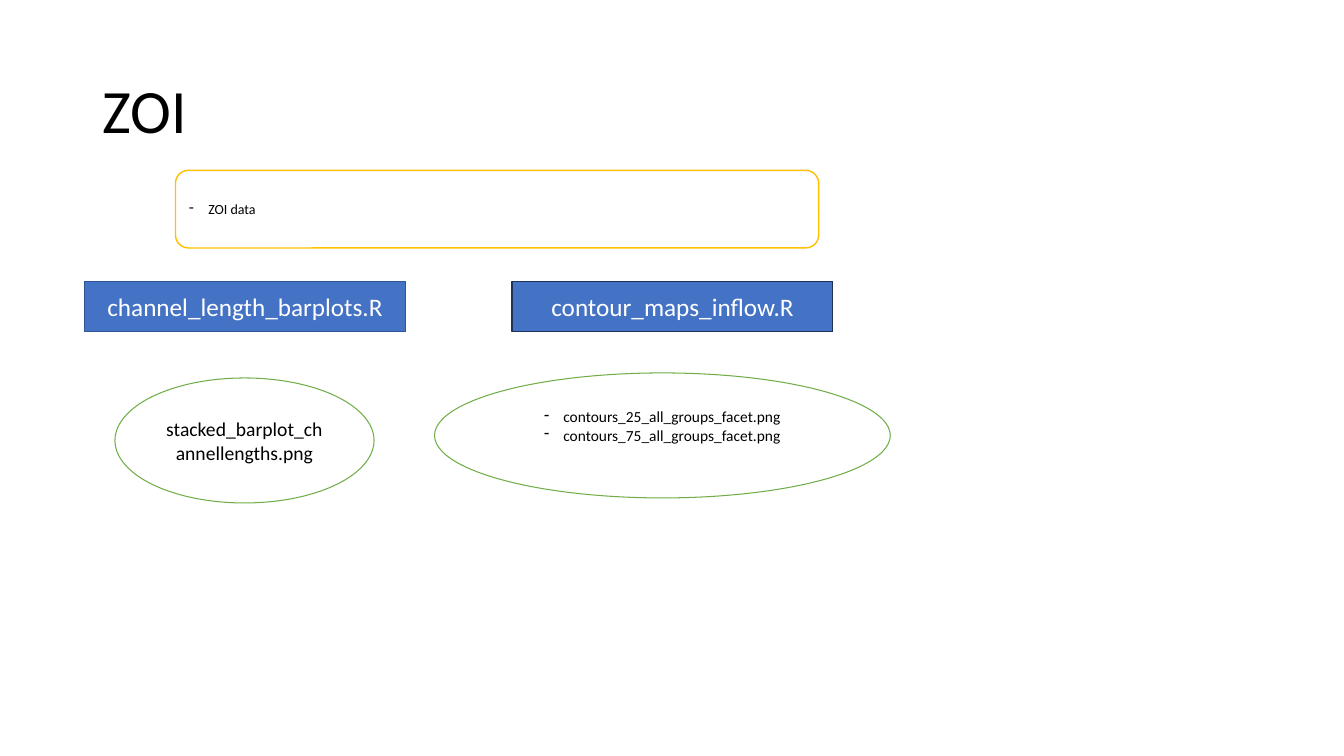
from lxml.etree import SubElement
from pptx import Presentation
from pptx.dml.color import RGBColor
from pptx.enum.shapes import MSO_SHAPE as Preset
from pptx.enum.text import MSO_ANCHOR as Anchor, PP_ALIGN as Align
from pptx.oxml.ns import qn
from pptx.util import Inches, Pt

FONT = "Calibri"
BLACK = RGBColor(0x00, 0x00, 0x00)
WHITE = RGBColor(0xFF, 0xFF, 0xFF)
BLUE = RGBColor(0x44, 0x72, 0xC4)
BLUE_EDGE = RGBColor(0x2F, 0x55, 0x97)
NAVY_EDGE = RGBColor(0x1E, 0x32, 0x56)
GOLD = RGBColor(0xFF, 0xC0, 0x00)
GREEN = RGBColor(0x70, 0xAD, 0x47)


def add_dash(para):
    """Give a paragraph a dash bullet with a hanging indent."""
    props = para._p.get_or_add_pPr()
    props.set("marL", str(Inches(0.19)))
    props.set("indent", str(Inches(-0.19)))
    SubElement(props, qn("a:buChar"), char="-")


def write(shape, lines, size, color=BLACK, align=Align.CENTER, dashed=False):
    frame = shape.text_frame
    frame.word_wrap = True
    frame.vertical_anchor = Anchor.MIDDLE
    for index, line in enumerate(lines):
        para = frame.add_paragraph() if index else frame.paragraphs[0]
        para.alignment = align
        if dashed:
            add_dash(para)
        span = para.add_run()
        span.text = line
        span.font.name = FONT
        span.font.size = Pt(size)
        span.font.color.rgb = color


def add_panel(page, preset, box, edge, width=1, fill=None):
    shape = page.shapes.add_shape(preset, *map(Inches, box))
    shape.shadow.inherit = False
    if fill is None:
        shape.fill.background()
    else:
        shape.fill.solid()
        shape.fill.fore_color.rgb = fill
    shape.line.color.rgb = edge
    shape.line.width = Pt(width)
    return shape


def add_title(page, box, text):
    title = page.shapes.add_textbox(*map(Inches, box))
    write(title, [text], 44, align=Align.LEFT)
    title.text_frame.paragraphs[0].line_spacing = 0.9


def add_data_source(page, box, lines):
    source = add_panel(page, Preset.ROUNDED_RECTANGLE, box, GOLD, fill=WHITE)
    write(source, lines, 10, align=Align.LEFT, dashed=True)


def add_script(page, box, name, edge):
    script = add_panel(page, Preset.RECTANGLE, box, edge, fill=BLUE)
    write(script, [name], 18, WHITE)


def add_output(page, box, files, size, dashed=False, bottom=0.05):
    output = add_panel(page, Preset.OVAL, box, GREEN, 0.75)
    output.text_frame.margin_bottom = Inches(bottom)
    write(output, files, size, dashed=dashed)


def build_workflow(page):
    add_title(page, (0.92, 0.4, 11.5, 1.45), "ZOI")

    # Scripts, side by side
    scripts = [("channel_length_barplots.R", BLUE_EDGE),
               ("contour_maps_inflow.R", NAVY_EDGE)]
    for column, (name, edge) in enumerate(scripts):
        add_script(page, (0.84 + 4.24 * column, 2.79, 3.18, 0.5), name, edge)

    # Input data
    add_data_source(page, (1.74, 1.69, 6.38, 0.77), ["ZOI data"])

    # Figures each script produces
    add_output(page, (1.14, 3.75, 2.57, 1.24),
               ["stacked_barplot_channellengths.png"], 14)
    contours = [f"contours_{level}_all_groups_facet.png" for level in (25, 75)]
    add_output(page, (4.31, 3.7, 4.52, 1.24), contours, 11,
               dashed=True, bottom=0.24)


deck = Presentation()
deck.slide_width, deck.slide_height = Inches(13.33), Inches(7.5)
build_workflow(deck.slides.add_slide(deck.slide_layouts[6]))
deck.save("out.pptx")
